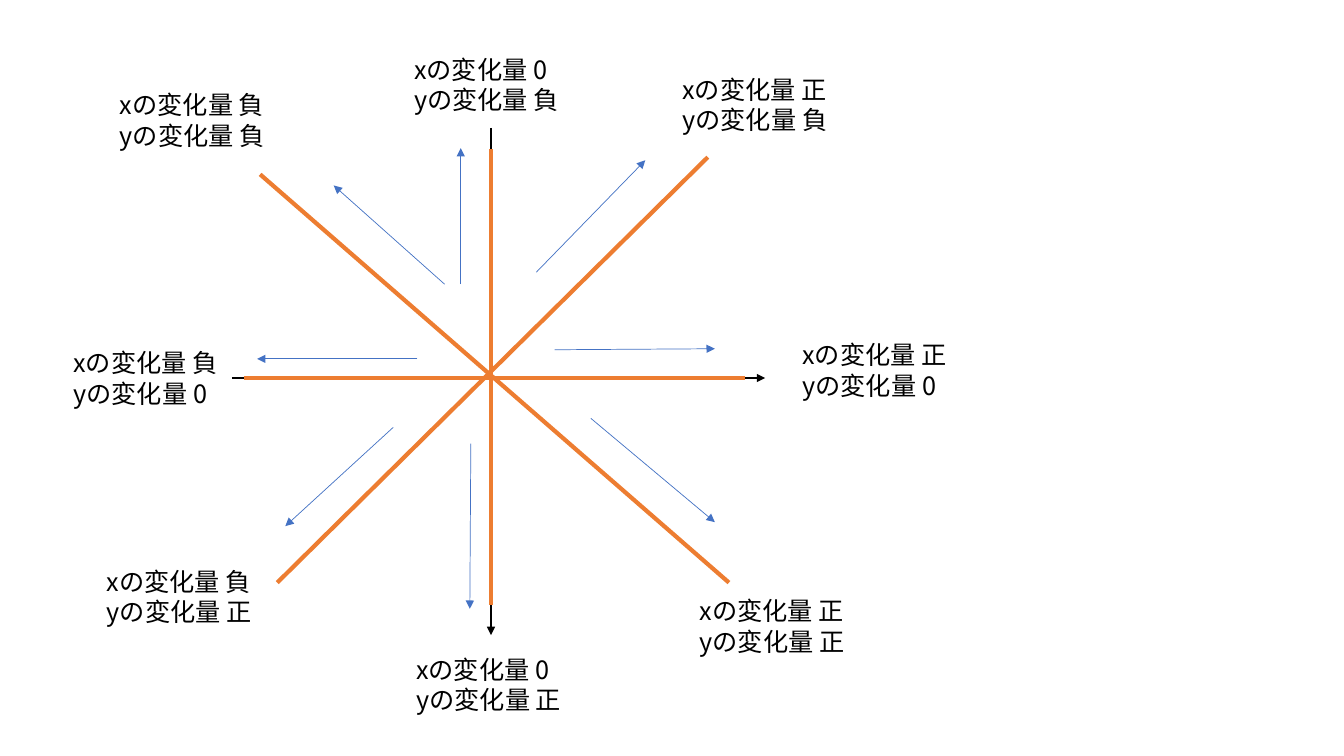
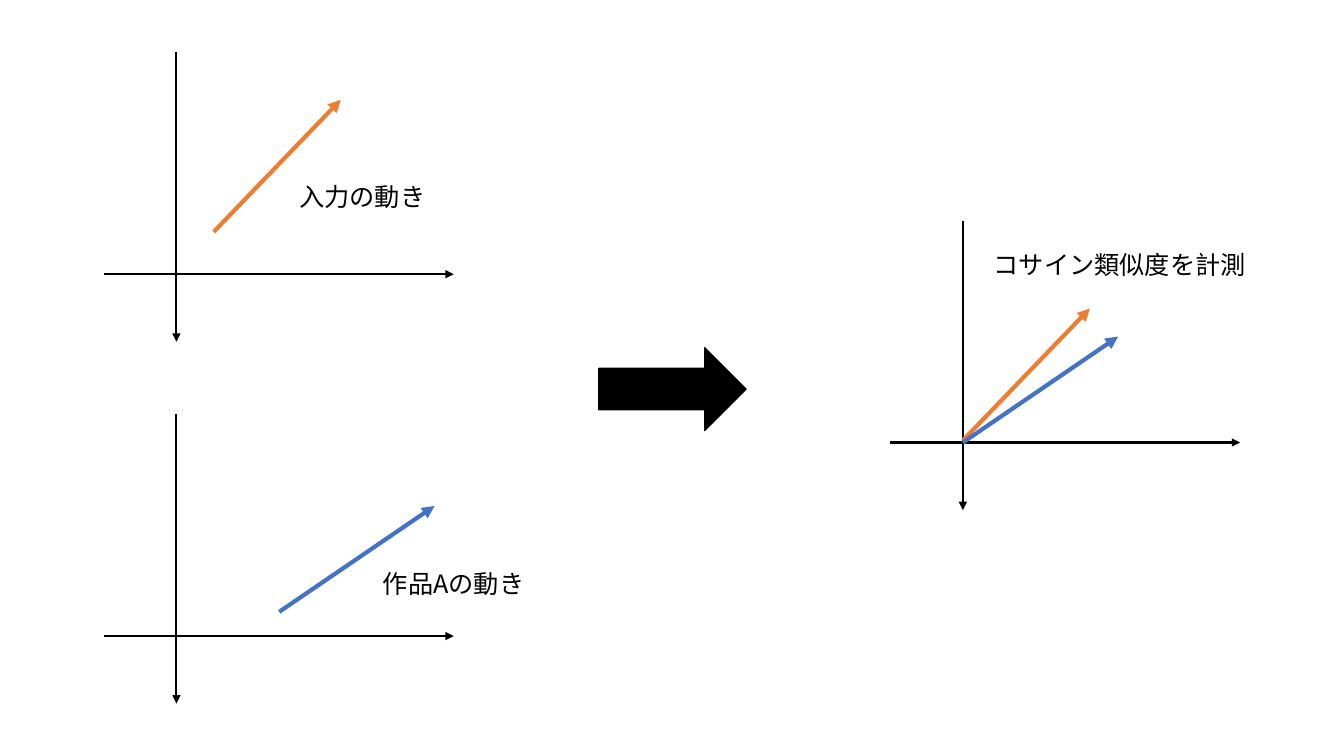
from lxml import etree
from pptx import Presentation
from pptx.dml.color import RGBColor
from pptx.enum.shapes import MSO_CONNECTOR, MSO_SHAPE
from pptx.enum.text import MSO_AUTO_SIZE, PP_ALIGN
from pptx.oxml.ns import qn
from pptx.util import Pt

STRAIGHT = MSO_CONNECTOR.STRAIGHT
RIGHT_ARROW = MSO_SHAPE.RIGHT_ARROW
FIT_SHAPE = MSO_AUTO_SIZE.SHAPE_TO_FIT_TEXT
LEFT, CENTER = PP_ALIGN.LEFT, PP_ALIGN.CENTER

BLACK = RGBColor(0x00, 0x00, 0x00)
ORANGE = RGBColor(0xED, 0x7D, 0x31)
BLUE = RGBColor(0x44, 0x72, 0xC4)
FONT = "Noto Sans CJK JP"

EMU_PER_PX = 9144  # 100 px to the inch
SLIDE_WIDTH, SLIDE_HEIGHT = 1333, 750
AXIS_WEIGHT, THICK, THIN = 1.5, 3, 0.5

# Spokes as end points relative to the crossing
SPOKES = [
    ((-212, 203), (215, -219)),
    ((-229, -202), (236, 203)),
    ((-245, 0), (252, 0)),
    ((0, 225), (0, -227)),
]
# x change, y change, label corner, arrow start, arrow end
DIRECTIONS = [
    ("正", "正", (197, 211), (99, 40), (222, 143)),
    ("正", "負", (180, -306), (45, -105), (153, -216)),
    ("負", "負", (-378, -291), (-46, -93), (-156, -191)),
    ("負", "正", (-391, 182), (-97, 49), (-204, 147)),
    ("0", "正", (-84, 269), (-20, 65), (-21, 229)),
    ("0", "負", (-86, -326), (-30, -93), (-30, -228)),
    ("正", "0", (299, -43), (63, -28), (222, -29)),
    ("負", "0", (-424, -35), (-73, -19), (-232, -19)),
]

# Graphs share one size; motions are (dx, dy)
GRAPH_WIDTH, GRAPH_HEIGHT = 347, 287
GRAPH_ORIGIN = (72, 220)
INPUT_MOTION = (126, -131)
WORK_MOTION = (154, -105)


def px(length):
    return length * EMU_PER_PX


def add_line(slide, start, end, color, weight, arrow=False):
    line = slide.shapes.add_connector(STRAIGHT, *map(px, (*start, *end)))
    line.line.color.rgb = color
    line.line.width = Pt(weight)
    if arrow:
        etree.SubElement(line.line._get_or_add_ln(), qn("a:tailEnd"), type="triangle")
    etree.SubElement(line._element.spPr, qn("a:effectLst"))


def add_label(slide, left, top, width, height, lines, alignment=LEFT):
    frame = slide.shapes.add_textbox(*map(px, (left, top, width, height))).text_frame
    frame.word_wrap = True
    frame.auto_size = FIT_SHAPE
    frame.text = "\n".join(lines)
    for paragraph in frame.paragraphs:
        paragraph.alignment = alignment
        font = paragraph.font
        font.size = Pt(18)
        font.color.rgb = BLACK
        font.name = FONT
        defaults = paragraph._p.pPr.find(qn("a:defRPr"))
        etree.SubElement(defaults, qn("a:ea"), typeface=FONT)


def add_axes(slide, left, top, width, height, origin):
    """Draw x and y axes in a box, crossing at an offset from its corner."""
    x, y = left + origin[0], top + origin[1]
    add_line(slide, (left, y), (left + width, y), BLACK, AXIS_WEIGHT, arrow=True)
    add_line(slide, (x, top), (x, top + height), BLACK, AXIS_WEIGHT, arrow=True)


def add_direction_diagram(slide, left, top, width, height, origin):
    def place(offset):
        return left + origin[0] + offset[0], top + origin[1] + offset[1]

    add_axes(slide, left, top, width, height, origin)
    for start, end in SPOKES:
        add_line(slide, place(start), place(end), ORANGE, THICK)
    for x_change, y_change, corner, start, end in DIRECTIONS:
        add_line(slide, place(start), place(end), BLUE, THIN, arrow=True)
        lines = [f"xの変化量 {x_change}", f"yの変化量 {y_change}"]
        add_label(slide, *place(corner), 175, 71, lines)


def add_motion_graph(slide, left, top, motions):
    """Draw axes and motions, each given as (start, (dx, dy), color)."""
    add_axes(slide, left, top, GRAPH_WIDTH, GRAPH_HEIGHT, GRAPH_ORIGIN)
    for (x, y), (dx, dy), color in motions:
        start = left + x, top + y
        end = start[0] + dx, start[1] + dy
        add_line(slide, start, end, color, THICK, arrow=True)


def add_block_arrow(slide, left, top, width, height):
    arrow = slide.shapes.add_shape(RIGHT_ARROW, *map(px, (left, top, width, height)))
    arrow.shadow.inherit = False
    arrow.fill.solid()
    arrow.fill.fore_color.rgb = BLACK
    arrow.line.color.rgb = BLACK
    arrow.line.width = Pt(1)


def build_directions_slide(slide):
    add_direction_diagram(slide, 230, 127, 529, 503, origin=(257, 248))


def build_similarity_slide(slide):
    # Separate motions
    add_motion_graph(slide, 103, 52, [((109, 178), INPUT_MOTION, ORANGE)])
    add_label(slide, 287, 175, 146, 40, ["入力の動き"])
    add_motion_graph(slide, 103, 411, [((174, 196), WORK_MOTION, BLUE)])
    add_label(slide, 370, 559, 163, 40, ["作品Aの動き"])

    # Both motions from one origin
    add_block_arrow(slide, 594, 345, 146, 82)
    add_motion_graph(slide, 883, 219, [
        ((72, 218), INPUT_MOTION, ORANGE),
        (GRAPH_ORIGIN, WORK_MOTION, BLUE),
    ])
    add_label(slide, 974, 242, 273, 40, ["コサイン類似度を計測"], CENTER)


def main():
    presentation = Presentation()
    presentation.slide_width = px(SLIDE_WIDTH)
    presentation.slide_height = px(SLIDE_HEIGHT)
    blank = presentation.slide_layouts[6]
    for build in (build_directions_slide, build_similarity_slide):
        build(presentation.slides.add_slide(blank))
    presentation.save("out.pptx")


if __name__ == "__main__":
    main()
